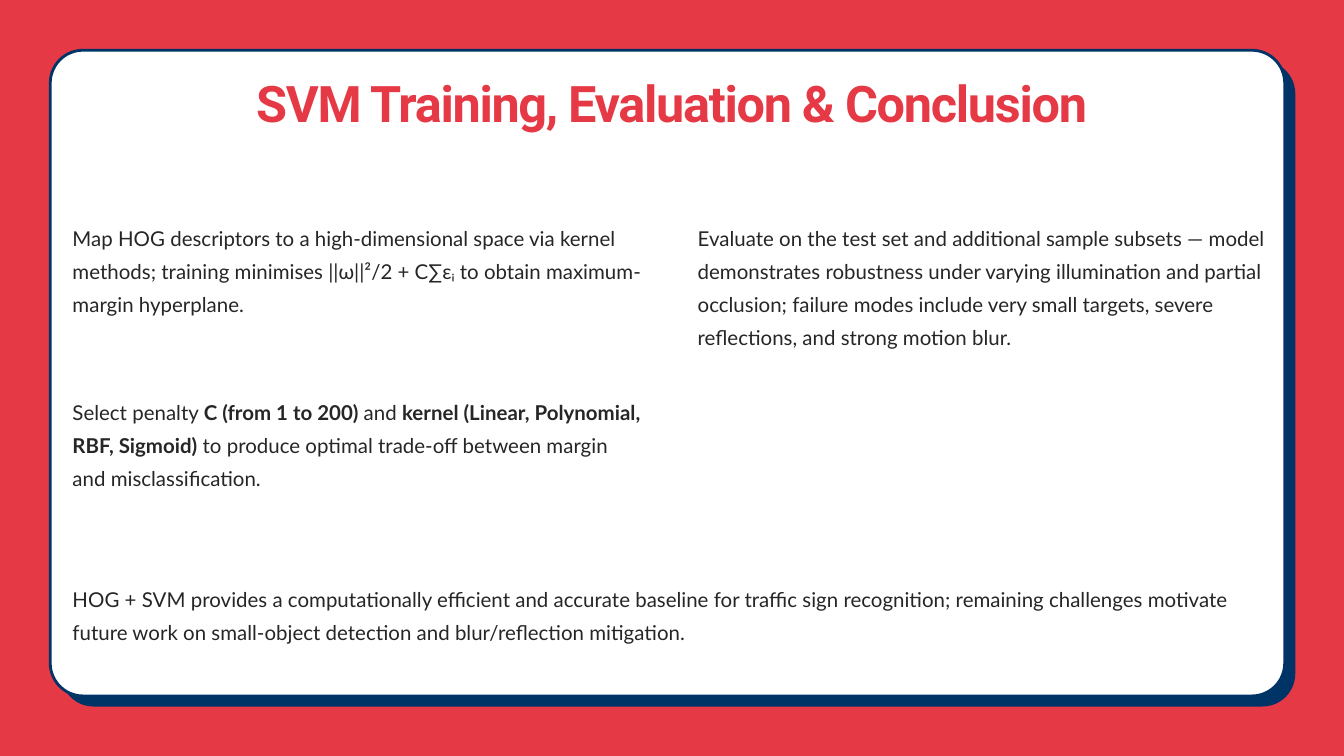
from typing import NamedTuple

from pptx import Presentation
from pptx.dml.color import RGBColor
from pptx.enum.shapes import MSO_SHAPE as Form
from pptx.enum.text import MSO_ANCHOR as Anchor, MSO_AUTO_SIZE as Fit, PP_ALIGN as Align
from pptx.util import Cm, Pt

RED = RGBColor(0xE6, 0x39, 0x46)
NAVY = RGBColor(0x00, 0x33, 0x66)
WHITE = RGBColor(0xFF, 0xFF, 0xFF)
INK = RGBColor(0x27, 0x25, 0x25)

COMPARISON = 4  # layout with a title and four text placeholders
CARD_W, CARD_H, RADIUS = 46.66, 24.41, 1.24
EDGE, SHIFT = 1.9, 0.4
LEFT, RIGHT, TOP = 2.74, 26.37, 8.2
COL_W, FULL_W = 21.69, 45.29


class Style(NamedTuple):
    face: str
    size: float
    color: RGBColor
    lead: float
    align: Align
    track: int = 0


class Span(NamedTuple):
    text: str
    bold: bool = False


class Block(NamedTuple):
    slot: int
    x: float
    y: float
    w: float
    h: float
    spans: list[Span]
    style: Style


HEAD = Style("Roboto", 54, RED, 64.8, Align.CENTER, -140)
BODY = Style("Lato", 21.9, INK, 35.6, Align.LEFT)

BLOCKS = [
    Block(0, 2.84, 2.74, 45.1, 2.39, [Span("SVM Training, Evaluation & Conclusion", True)], HEAD),
    Block(1, LEFT, TOP, COL_W, 3.66, [
        Span("Map HOG descriptors to a high-dimensional space via kernel methods; training "
             "minimises ||ω||²/2 + C∑εᵢ to obtain maximum-margin hyperplane."),
    ], BODY),
    Block(2, LEFT, 14.78, COL_W, 3.66, [
        Span("Select penalty "),
        Span("C (from 1 to 200) ", True),
        Span("and "),
        Span("kernel (Linear, Polynomial, RBF, Sigmoid)", True),
        Span(" to produce optimal trade-off between margin and misclassification."),
    ], BODY),
    Block(3, RIGHT, TOP, COL_W, 4.9, [
        Span("Evaluate on the test set and additional sample subsets — model demonstrates "
             "robustness under varying illumination and partial occlusion; failure modes "
             "include very small targets, severe reflections, and strong motion blur."),
    ], BODY),
    Block(4, LEFT, 21.87, FULL_W, 2.79, [
        Span("HOG + SVM provides a computationally efficient and accurate baseline for traffic "
             "sign recognition; remaining challenges motivate future work on small-object "
             "detection and blur/reflection mitigation."),
    ], BODY),
]


def add_card(slide, edge: float, fill: RGBColor, lined: bool) -> None:
    """Draw a rounded panel behind the text placeholders."""
    card = slide.shapes.add_shape(
        Form.ROUNDED_RECTANGLE, Cm(edge), Cm(edge), Cm(CARD_W), Cm(CARD_H))
    card.adjustments[0] = RADIUS / CARD_H
    card.shadow.inherit = False
    card.fill.solid()
    card.fill.fore_color.rgb = fill
    if lined:
        card.line.color.rgb = NAVY
        card.line.width = Pt(3)
    else:
        card.line.fill.background()
    slide.shapes.title.element.addprevious(card.element)


def fill_block(slide, block: Block) -> None:
    """Move a placeholder into place and write its text."""
    style = block.style
    shape = slide.placeholders[block.slot]
    shape.left, shape.top = Cm(block.x), Cm(block.y)
    shape.width, shape.height = Cm(block.w), Cm(block.h)

    frame = shape.text_frame
    frame.word_wrap = True
    frame.auto_size = Fit.NONE
    frame.vertical_anchor = Anchor.TOP
    frame.margin_left = frame.margin_top = frame.margin_right = frame.margin_bottom = 0

    para = frame.paragraphs[0]
    para.alignment = style.align
    para.line_spacing = Pt(style.lead)
    para.space_before = para.space_after = Pt(0)
    props = para._p.get_or_add_pPr()
    props.set("marL", "0")
    props.set("indent", "0")
    props.insert_element_before(props.makeelement(
        "{http://schemas.openxmlformats.org/drawingml/2006/main}buNone"),
        "a:tabLst", "a:defRPr", "a:extLst")

    for span in block.spans:
        run = para.add_run()
        run.text = span.text
        font = run.font
        font.name, font.size, font.bold = style.face, Pt(style.size), span.bold
        font.color.rgb = style.color
        if style.track:
            run._r.get_or_add_rPr().set("spc", str(style.track))


def main() -> None:
    deck = Presentation()
    deck.slide_width, deck.slide_height = Cm(50.8), Cm(28.58)
    slide = deck.slides.add_slide(deck.slide_layouts[COMPARISON])
    slide.background.fill.solid()
    slide.background.fill.fore_color.rgb = RED

    add_card(slide, EDGE + SHIFT, NAVY, lined=False)
    add_card(slide, EDGE, WHITE, lined=True)
    for block in BLOCKS:
        fill_block(slide, block)
    deck.save("out.pptx")


if __name__ == "__main__":
    main()
